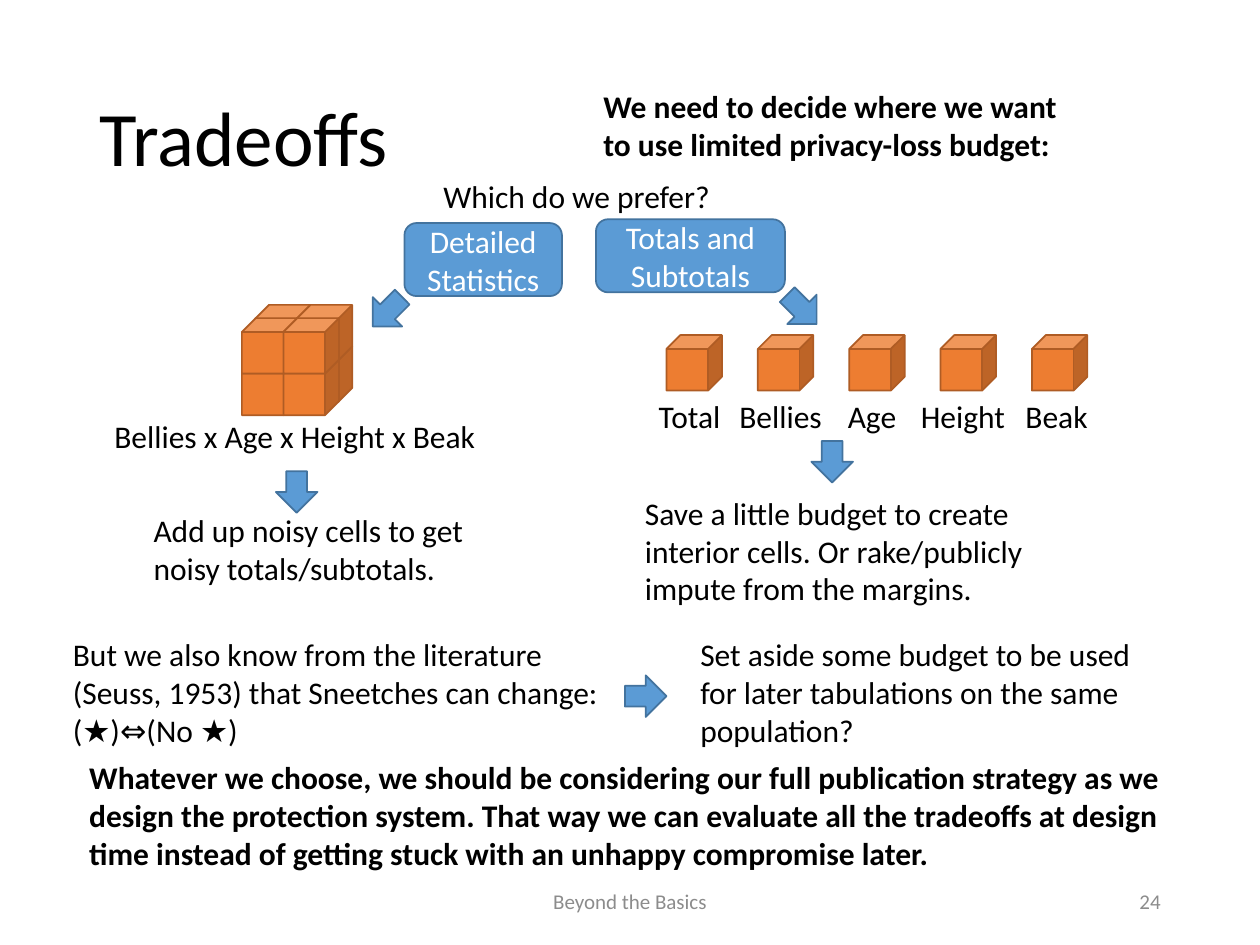
import dataclasses

import pptx
import pptx.dml.color
import pptx.enum.shapes
import pptx.enum.text
import pptx.util

SHAPES = pptx.enum.shapes.MSO_SHAPE
ALIGN = pptx.enum.text.PP_ALIGN
ANCHOR = pptx.enum.text.MSO_ANCHOR


@dataclasses.dataclass(frozen=True)
class Theme:
    font: str = "Calibri"
    title_size: int = 44
    body_size: int = 18
    footer_size: int = 12
    line_width: int = 1
    text: str = "000000"
    muted: str = "8C8C8C"
    light: str = "FFFFFF"
    blue: str = "5B9BD5"
    blue_line: str = "43739E"
    orange: str = "ED7D31"
    orange_line: str = "AF5C24"


THEME = Theme()
COLUMNS, ROWS = 100, 75
CELL = pptx.util.Inches(0.1)
CUBE_SIZE = 4.4
ARROW_SIZE = 3.3
LABEL_HEIGHT = 4


def grid(*lengths):
    return [round(length * CELL) for length in lengths]


def color(value):
    return pptx.dml.color.RGBColor.from_string(value)


def write(shape, text, size, text_color, bold=False, align=ALIGN.LEFT,
          anchor=ANCHOR.TOP, wrap=True):
    frame = shape.text_frame
    frame.word_wrap = wrap
    frame.vertical_anchor = anchor
    frame.text = text
    paragraph = frame.paragraphs[0]
    paragraph.alignment = align
    font = paragraph.runs[0].font
    font.name = THEME.font
    font.size = pptx.util.Pt(size)
    font.bold = bold
    font.color.rgb = color(text_color)
    return paragraph


def add_text(slide, box, text, size=THEME.body_size, text_color=THEME.text, **style):
    shape = slide.shapes.add_textbox(*grid(*box))
    return write(shape, text, size, text_color, **style)


def add_figure(slide, kind, box, fill, line):
    shape = slide.shapes.add_shape(kind, *grid(*box))
    shape.shadow.inherit = False
    shape.fill.solid()
    shape.fill.fore_color.rgb = color(fill)
    shape.line.color.rgb = color(line)
    shape.line.width = pptx.util.Pt(THEME.line_width)
    return shape


def add_choice(slide, box, text):
    shape = add_figure(slide, SHAPES.ROUNDED_RECTANGLE, box, THEME.blue, THEME.blue_line)
    write(shape, text, THEME.body_size, THEME.light, align=ALIGN.CENTER, anchor=ANCHOR.MIDDLE)


def add_arrow(slide, column, row, rotation=0):
    box = (column, row, ARROW_SIZE, ARROW_SIZE)
    shape = add_figure(slide, SHAPES.DOWN_ARROW, box, THEME.blue, THEME.blue_line)
    shape.rotation = rotation


def add_cube(slide, column, row):
    box = (column, row, CUBE_SIZE, CUBE_SIZE)
    add_figure(slide, SHAPES.CUBE, box, THEME.orange, THEME.orange_line)


def add_cube_stack(slide, column, row):
    step, depth = 3.3, 1.05
    back = [(1, 0), (0, 1), (1, 1)]
    front = [(0, 0), (1, 0), (0, 1), (1, 1)]
    for shift, layer in ((depth, back), (0, front)):
        for across, up in layer:
            add_cube(slide, column + across * step + shift, row - up * step - shift)


def add_margin_cubes(slide, column, row):
    pitch = 7.25
    labels = [("Total", 51.3, 7), ("Bellies", 57.7, 8.6), ("Age", 66.3, 5.9),
              ("Height", 72.1, 8.8), ("Beak", 80.4, 7)]
    for index, (label, left, width) in enumerate(labels):
        add_cube(slide, column + index * pitch, row)
        add_text(slide, (left, row + CUBE_SIZE, width, LABEL_HEIGHT), label, wrap=False)


def add_heading(slide):
    title = add_text(slide, (6.9, 4, 86.2, 14.5), "Tradeoffs", THEME.title_size,
                     anchor=ANCHOR.MIDDLE)
    title.line_spacing = 0.9
    add_text(slide, (46.9, 6.4, 38.6, 10.1),
             "We need to decide where we want to use limited privacy-loss budget:", bold=True)
    add_text(slide, (34.2, 13.6, 24.1, LABEL_HEIGHT), "Which do we prefer?")


def add_detailed_branch(slide):
    add_choice(slide, (32.1, 17.7, 12.5, 5.8), "Detailed Statistics")
    add_arrow(slide, 29.1, 23.1, 45)
    add_cube_stack(slide, 19.2, 28.55)
    add_text(slide, (8.1, 32.6, 31, LABEL_HEIGHT), "Bellies x Age x Height x Beak", wrap=False)
    add_arrow(slide, 21.9, 37.4)
    add_text(slide, (11.2, 40.1, 26.8, 7.1),
             "Add up noisy cells to get noisy totals/subtotals.")


def add_totals_branch(slide):
    add_choice(slide, (47.3, 17.4, 15, 5.8), "Totals and Subtotals")
    add_arrow(slide, 62, 22.9, 315)
    add_margin_cubes(slide, 52.9, 26.6)
    add_arrow(slide, 64.4, 35)
    add_text(slide, (50.2, 38.7, 38.6, 10.1),
             "Save a little budget to create interior cells. "
             "Or rake/publicly impute from the margins.")


def add_conclusion(slide):
    row = 49.9
    add_text(slide, (4.8, row, 46.5, 10.1),
             "But we also know from the literature (Seuss, 1953) "
             "that Sneetches can change: (★)⇔(No ★)")
    add_arrow(slide, 49.6, 53.6, 270)
    add_text(slide, (54.6, row, 38.6, 10.1),
             "Set aside some budget to be used for later tabulations on the same population?")
    add_text(slide, (6.1, 59.7, 87.1, 13.1),
             "Whatever we choose, we should be considering our full publication strategy "
             "as we design the protection system. That way we can evaluate all the tradeoffs "
             "at design time instead of getting stuck with an unhappy compromise later.",
             bold=True)


def add_footer(slide):
    row, height = 69.5, 4
    for left, width, text, align in ((33.1, 33.8, "Beyond the Basics", ALIGN.CENTER),
                                     (70.6, 22.5, "24", ALIGN.RIGHT)):
        add_text(slide, (left, row, width, height), text, THEME.footer_size, THEME.muted,
                 align=align, anchor=ANCHOR.MIDDLE)


def main():
    presentation = pptx.Presentation()
    presentation.slide_width, presentation.slide_height = grid(COLUMNS, ROWS)
    slide = presentation.slides.add_slide(presentation.slide_layouts[6])
    add_heading(slide)
    add_detailed_branch(slide)
    add_totals_branch(slide)
    add_conclusion(slide)
    add_footer(slide)
    presentation.save("out.pptx")


if __name__ == "__main__":
    main()
